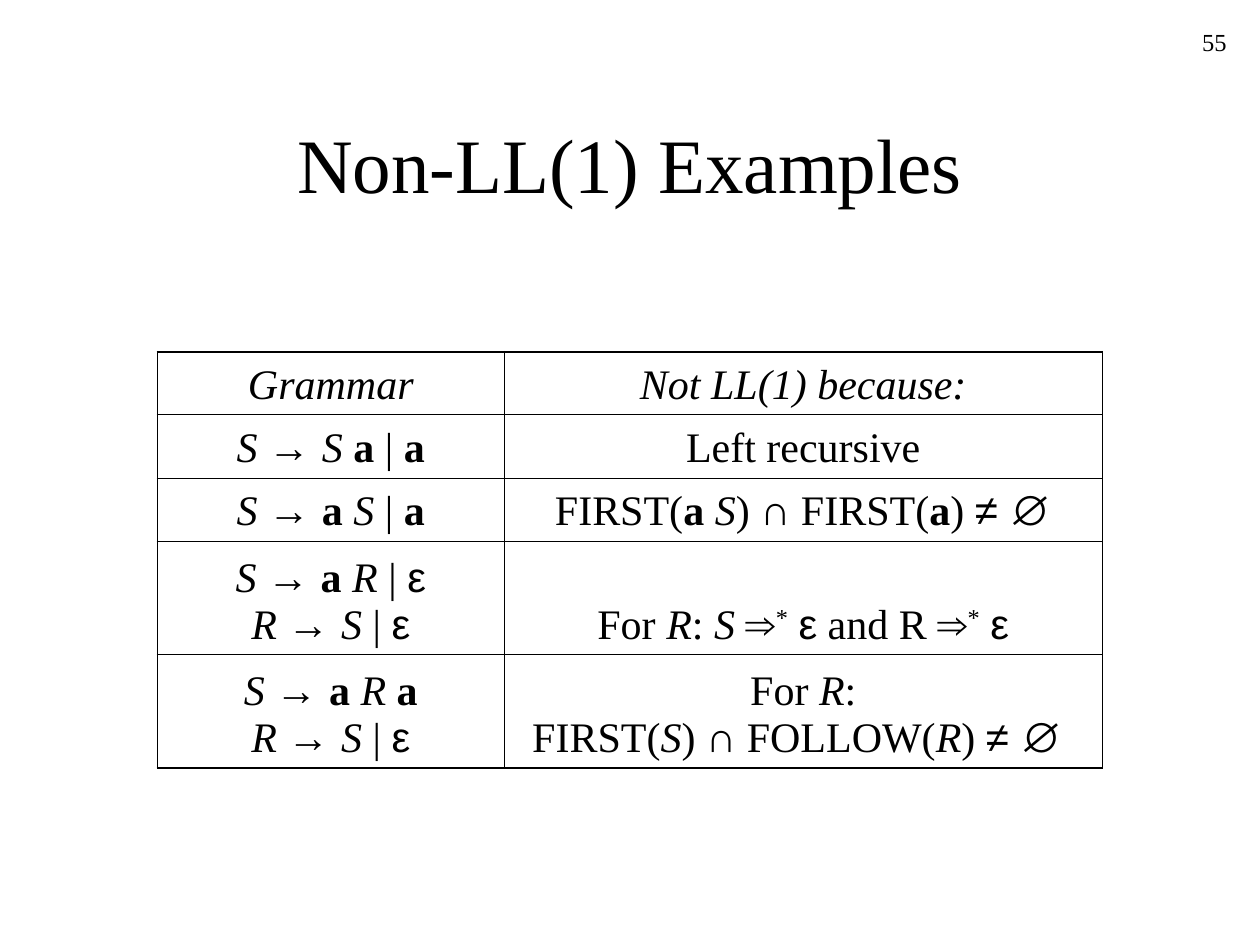
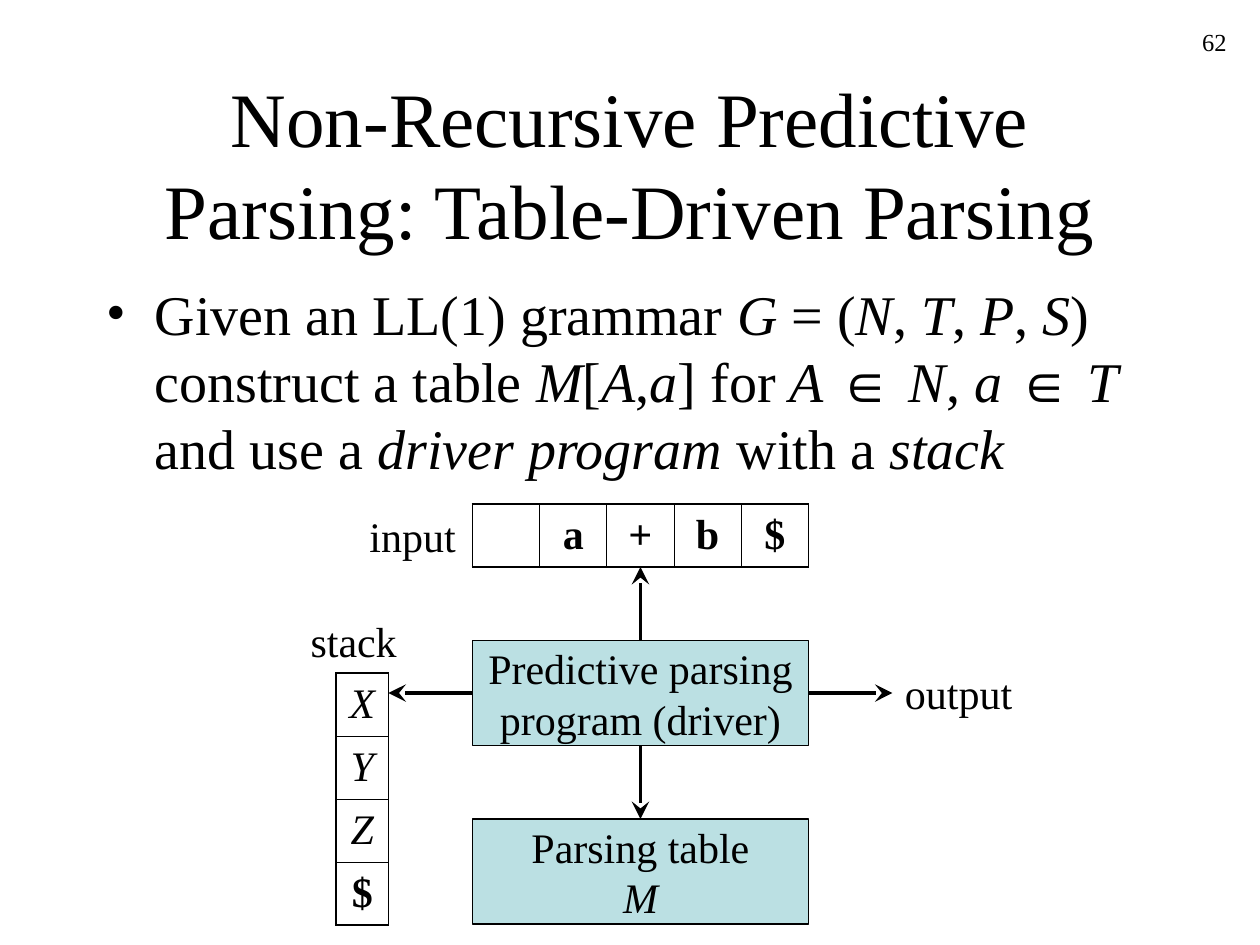
from itertools import groupby
from lxml import etree
from pptx import Presentation
from pptx import util as u
from pptx.dml.color import RGBColor
from pptx.enum import shapes, text
from pptx.oxml import ns

INK, TEAL = "000000", "BBE0E3"
SERIF, SANS = "Times New Roman", "Arial"
MATH, WIDE = "→∩≠∅ε⇒∈", "→≠∅∈"  # a space after a WIDE sign shares its font
hue = RGBColor.from_string
LEFT, MID, RIGHT = text.PP_ALIGN.LEFT, text.PP_ALIGN.CENTER, text.PP_ALIGN.RIGHT
CORE, BASE = text.MSO_ANCHOR.MIDDLE, text.MSO_ANCHOR.BOTTOM

deck = Presentation()
deck.slide_width, deck.slide_height = u.Inches(10), u.Inches(7.5)
UNIT = deck.slide_width / 120  # the slide is a grid of 120 columns and 90 rows


def at(*steps):
    """Turn grid steps into lengths."""
    return [u.Emu(round(step * UNIT)) for step in steps]


def write(frame, words, size=24, align=MID, anchor=None, wrap=True):
    """Fill a frame; _x_ is italic, `x` bold and ^x^ superscript."""
    frame.word_wrap = wrap
    if anchor is not None:
        frame.vertical_anchor = anchor
    para = frame.paragraphs[0]
    para.alignment = align
    on, signs, last = {"_": False, "`": False, "^": False}, [], ""
    for sign in words:
        if sign in on:
            on[sign] = not on[sign]
            continue
        math = sign in MATH or (sign == " " and last != "" and last in WIDE)
        signs.append((sign, (*on.values(), math, sign == "\n")))
        last = sign
    for (slant, bold, high, math, feed), part in groupby(signs, lambda s: s[1]):
        if feed:
            para.add_line_break()
            continue
        run = para.add_run()
        run.text = "".join(sign for sign, _ in part)
        font = run.font
        font.name, font.size = SANS if math else SERIF, u.Pt(size)
        font.italic, font.bold = slant, bold
        font.color.rgb = hue(INK)
        if high:
            run._r.get_or_add_rPr().set("baseline", "30000")
    return para


# Slides with page number and title
pages = []
for num, head in (
    ("55", "Non-LL(1) Examples"),
    ("62", "Non-Recursive Predictive Parsing: Table-Driven Parsing"),
):
    page = deck.slides.add_slide(deck.slide_layouts[6])
    write(page.shapes.add_textbox(*at(93, 2, 25, 6)).text_frame, num, size=14, align=RIGHT)
    write(page.shapes.add_textbox(*at(9, 8, 102, 15)).text_frame, head, size=44, anchor=CORE)
    pages.append(page)
first, second = pages

# Tables: grammar examples, input buffer, stack
rules = [
    ["_Grammar_", "_Not LL(1) because:_"],
    ["_S _→ _S _`a` | `a`", "Left recursive"],
    ["_S _→ `a `_S_ | `a`", "FIRST(`a `_S_) ∩ FIRST(`a`) ≠ ∅"],
    ["_S _→ `a `_R_ | ε\n_R _→ _S_ | ε", "For _R_:_ S _⇒^*^ ε and R ⇒^*^ ε"],
    ["_S _→ `a `_R _`a`\n_R _→ _S_ | ε", "For _R_:\nFIRST(_S_) ∩ FOLLOW(_R_) ≠ ∅ "],
]
tape = [["", "`a`", "`+`", "`b`", "`$`"]]
stack = [["_X_"], ["_Y_"], ["_Z_"], ["`$`"]]
for page, left, top, cols, rows, cells, anchor in (
    (first, 15, 33.5, [33, 57], [6, 6, 6, 10.8, 10.8], rules, BASE),
    (second, 45, 48, [6.4] * 5, [6], tape, CORE),
    (second, 32, 64.1, [5], [6] * 4, stack, CORE),
):
    spot = at(left, top, sum(cols), sum(rows))
    table = page.shapes.add_table(len(rows), len(cols), *spot).table
    table.first_row = table.horz_banding = False
    for col, width in zip(table.columns, at(*cols)):
        col.width = width
    for row, height in zip(table.rows, at(*rows)):
        row.height = height
    for r, line in enumerate(cells):
        for c, words in enumerate(line):
            cell = table.cell(r, c)
            cell.vertical_anchor = anchor
            cell.fill.background()
            write(cell.text_frame, words)
            rims = {"lnL": c == 0, "lnR": c == len(cols) - 1,
                    "lnT": r == 0, "lnB": r == len(rows) - 1}
            for i, (side, rim) in enumerate(rims.items()):
                edge = etree.Element(ns.qn("a:" + side), w=str(u.Pt(1.08 if rim else 0.45)))
                fill = etree.SubElement(edge, ns.qn("a:solidFill"))
                etree.SubElement(fill, ns.qn("a:srgbClr"), val=INK)
                cell._tc.get_or_add_tcPr().insert(i, edge)

# Bullet
para = write(
    second.shapes.add_textbox(*at(9, 26, 102, 54)).text_frame,
    "Given an LL(1) grammar _G _= (_N_, _T_, _P_, _S_) construct a table _M_[_A_,_a_] for "
    "_A _∈ _N_, _a _∈ _T _and use a _driver program_ with a _stack_",
    size=32, align=LEFT,
)
props = para._p.get_or_add_pPr()
props.set("marL", str(u.Inches(0.38)))
props.set("indent", str(-u.Inches(0.38)))
etree.SubElement(props, ns.qn("a:buFont"), typeface=SERIF)
etree.SubElement(props, ns.qn("a:buChar"), char="•")

# Driver and parsing table boxes
boxes = []
for top, words in ((61, "Predictive parsing\nprogram (driver)"), (78, "Parsing table\n_M_")):
    box = second.shapes.add_shape(shapes.MSO_SHAPE.RECTANGLE, *at(45, top, 32, 10))
    box.shadow.inherit = False
    box.fill.solid()
    box.fill.fore_color.rgb = hue(TEAL)
    box.line.color.rgb = hue(INK)
    box.line.width = u.Pt(0.75)
    write(box.text_frame, words, anchor=CORE, wrap=False)
    boxes.append(box)
driver, chart = boxes

# Labels, sized to their words
for left, top, width, word in (
    (28.4, 58, 10.8, "stack"), (34, 48, 10.8, "input"), (85, 63, 12.8, "output"),
):
    label = second.shapes.add_textbox(*at(left, top, width, 6))
    write(label.text_frame, word, align=LEFT, wrap=False)
    label.text_frame.auto_size = text.MSO_AUTO_SIZE.SHAPE_TO_FIT_TEXT

# Arrows out of the driver, by side
for side, start, end in (
    (0, (61, 61), (61, 54)), (2, (61, 71), (61, 78)),
    (3, (77, 66), (85, 66)), (1, (45, 66), (37, 66)),
):
    arrow = second.shapes.add_connector(shapes.MSO_CONNECTOR.STRAIGHT, *at(*start, *end))
    arrow.begin_connect(driver, side)
    if side == 2:
        arrow.end_connect(chart, 0)
    arrow.line.color.rgb = hue(INK)
    arrow.line.width = u.Pt(2)
    tip = {"type": "stealth", "w": "lg", "len": "lg"}
    etree.SubElement(arrow.line._get_or_add_ln(), ns.qn("a:tailEnd"), tip)
    etree.SubElement(arrow._element.spPr, ns.qn("a:effectLst"))

deck.save("out.pptx")
